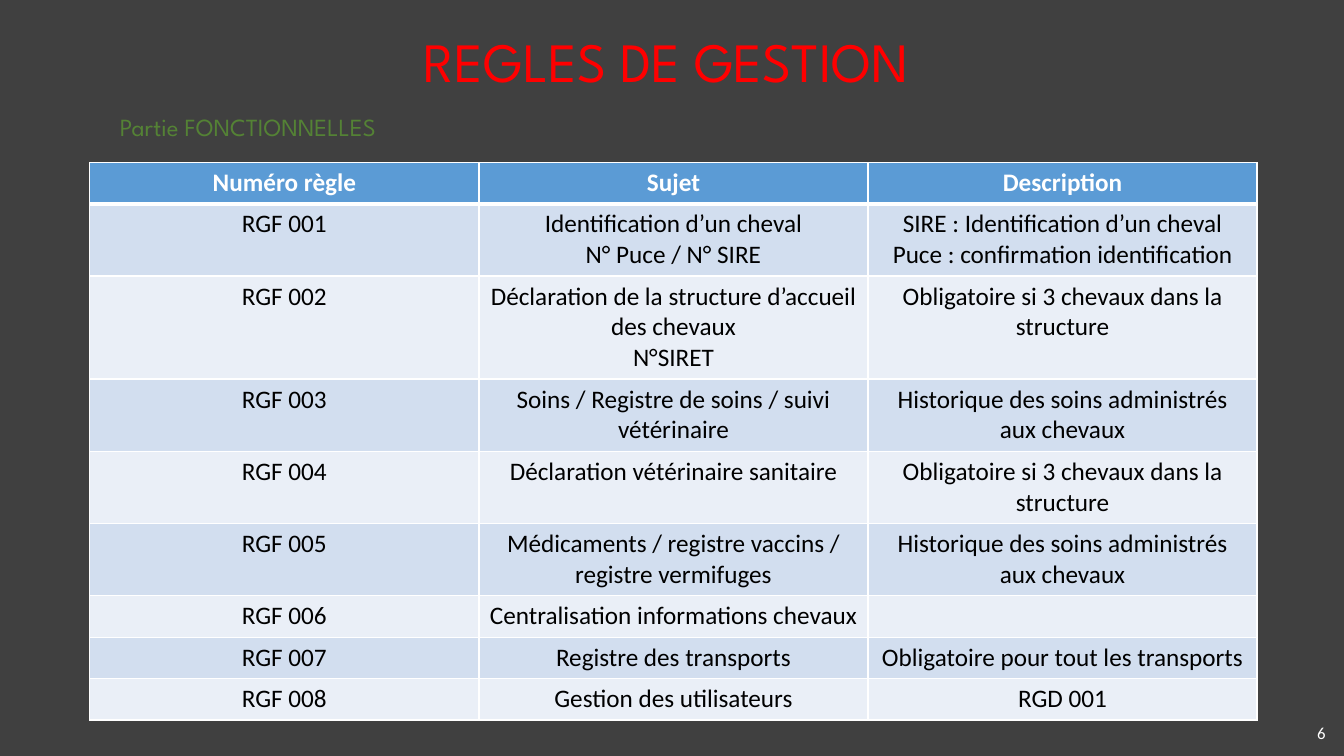
from lxml import etree
from pptx import Presentation
from pptx import util as u
from pptx.dml import color
from pptx.enum import text
from pptx.oxml import ns

Pt = u.Pt
ALIGN = text.PP_ALIGN

TITLE = "REGLES DE GESTION "
SUBTITLE = "Partie FONCTIONNELLES"
PAGE_NUMBER = "6"
HEADERS = ["Numéro règle", "Sujet", "Description"]
# number of text lines in the row, rule, subject, description
RULES = [
    (2, "RGF 001", "Identification d’un cheval\nN° Puce / N° SIRE",
     "SIRE : Identification d’un cheval\nPuce : confirmation identification"),
    (3, "RGF 002", "Déclaration de la structure d’accueil des chevaux\nN°SIRET",
     "Obligatoire si 3 chevaux dans la structure"),
    (2, "RGF 003", "Soins / Registre de soins / suivi vétérinaire",
     "Historique des soins administrés aux chevaux"),
    (2, "RGF 004", "Déclaration vétérinaire sanitaire",
     "Obligatoire si 3 chevaux dans la structure"),
    (2, "RGF 005", "Médicaments / registre vaccins / registre vermifuges",
     "Historique des soins administrés aux chevaux"),
    (1, "RGF 006", "Centralisation informations chevaux", ""),
    (1, "RGF 007", "Registre des transports", "Obligatoire pour tout les transports"),
    (1, "RGF 008", "Gestion des utilisateurs", "RGD 001"),
]

WHITE, BLACK, RED, GREEN = "FFFFFF", "000000", "FF0000", "548235"
BACKGROUND, HEADER_FILL, BANDS = "404040", "5B9BD5", ("D2DEEF", "EAEFF7")
TABLE_LEFT, TABLE_TOP, COLUMN_WIDTH = 64.2, 116, 277.92
LINE_HEIGHT, ROW_PADDING = 22, 7.6


def rgb(value):
    return color.RGBColor.from_string(value)


def write(frame, content, size=18, font="Calibri", fill=BLACK, bold=False,
          align=ALIGN.CENTER, spacing=None):
    """Fill a text frame, one paragraph for each line of content."""
    frame.word_wrap = True
    for index, line in enumerate(content.split("\n")):
        para = frame.add_paragraph() if index else frame.paragraphs[0]
        para.alignment = align
        para.line_spacing = spacing
        para.font.size = Pt(size)
        if line:
            span = para.add_run()
            span.text = line
            span.font.size, span.font.name, span.font.bold = Pt(size), font, bold
            span.font.color.rgb = rgb(fill)


def place(box, left, top, width, height):
    box.left, box.top, box.width, box.height = map(Pt, (left, top, width, height))
    box.text_frame.auto_size = text.MSO_AUTO_SIZE.NONE
    box.text_frame.vertical_anchor = text.MSO_ANCHOR.MIDDLE
    return box.text_frame


def add_borders(cell, top, bottom):
    properties = cell._tc.get_or_add_tcPr()
    for side, width in (("L", 1), ("R", 1), ("T", top), ("B", bottom)):
        line = etree.SubElement(properties, ns.qn(f"a:ln{side}"), w=str(Pt(width)))
        fill = etree.SubElement(line, ns.qn("a:solidFill"))
        etree.SubElement(fill, ns.qn("a:srgbClr"), val=WHITE)


def add_rules_table(page):
    rows = [(1, *HEADERS), *RULES]
    heights = [ROW_PADDING + LINE_HEIGHT * row[0] for row in rows]
    table = page.shapes.add_table(
        len(rows), len(HEADERS), Pt(TABLE_LEFT), Pt(TABLE_TOP),
        Pt(COLUMN_WIDTH * len(HEADERS)), Pt(sum(heights))).table
    for column in table.columns:
        column.width = Pt(COLUMN_WIDTH)
    for r, (lines, *contents) in enumerate(rows):
        table.rows[r].height = Pt(heights[r])
        header = r == 0
        for c, content in enumerate(contents):
            cell = table.cell(r, c)
            add_borders(cell, top=3 if r == 1 else 1, bottom=3 if header else 1)
            cell.fill.solid()
            cell.fill.fore_color.rgb = rgb(HEADER_FILL if header else BANDS[(r - 1) % 2])
            write(cell.text_frame, content, fill=WHITE if header else BLACK, bold=header)


def main():
    deck = Presentation()
    deck.slide_width, deck.slide_height = Pt(960), Pt(540)
    page = deck.slides.add_slide(deck.slide_layouts[5])
    page.background.fill.solid()
    page.background.fill.fore_color.rgb = rgb(BACKGROUND)

    add_rules_table(page)
    write(place(page.shapes.title, 67, 23.8, 828, 44), TITLE, size=39.6,
          font="League Spartan", fill=RED, spacing=0.9)
    subtitle = page.shapes.add_textbox(0, 0, 0, 0)
    write(place(subtitle, 53.3, 75.6, 247.7, 32.4), SUBTITLE, size=17.6,
          font="League Spartan", fill=GREEN, spacing=0.9)
    number = page.shapes.add_textbox(0, 0, 0, 0)
    write(place(number, 738, 509, 216, 28.8), PAGE_NUMBER, size=12, fill=WHITE,
          align=ALIGN.RIGHT)
    deck.save("out.pptx")


if __name__ == "__main__":
    main()
